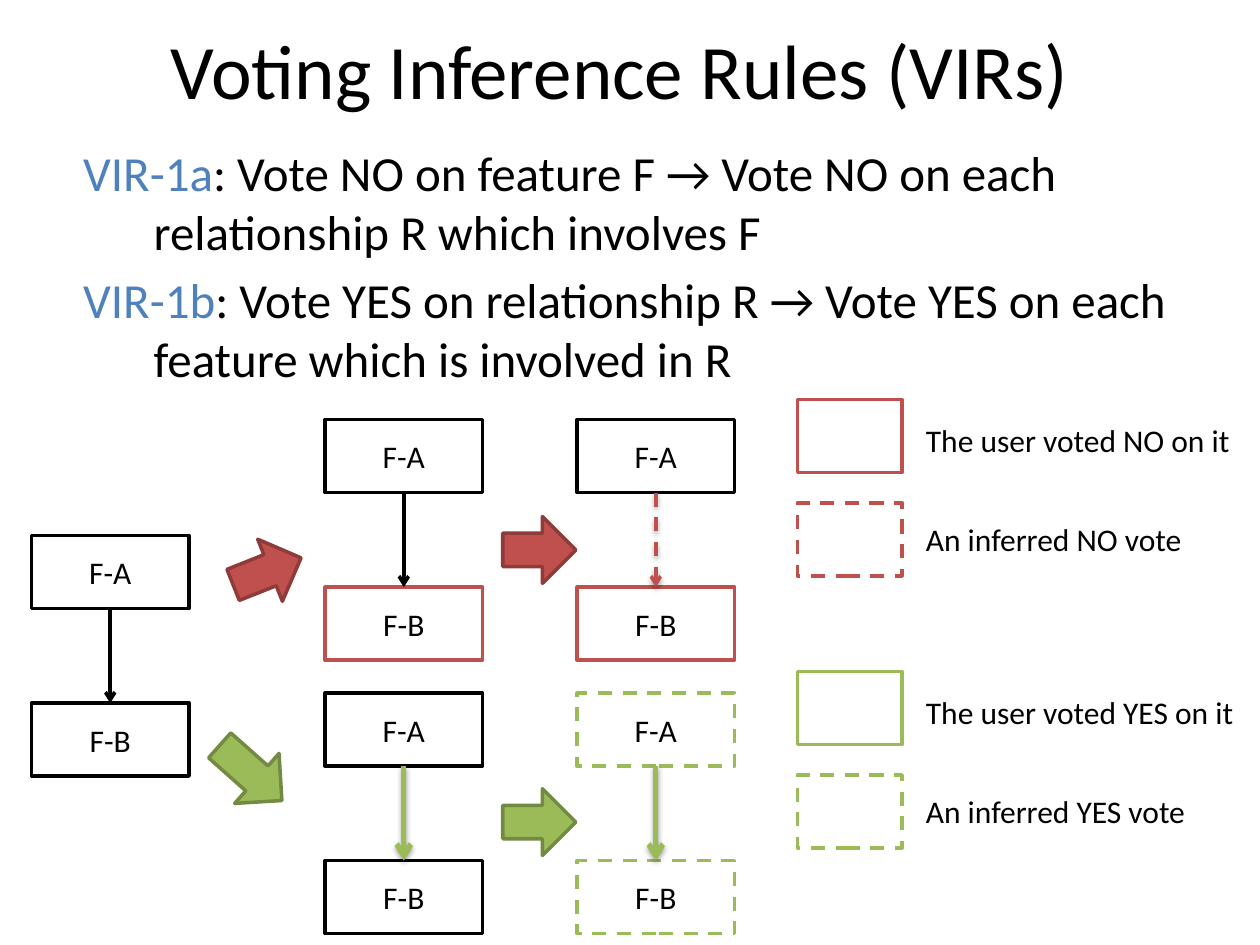
from dataclasses import dataclass

from lxml.etree import SubElement
from pptx import Presentation
from pptx.dml.color import RGBColor
from pptx.enum.dml import MSO_LINE
from pptx.enum.shapes import MSO_CONNECTOR, MSO_SHAPE
from pptx.enum.text import MSO_ANCHOR, MSO_AUTO_SIZE, PP_ALIGN
from pptx.oxml.ns import qn
from pptx.util import Inches, Pt


@dataclass(frozen=True)
class Theme:
    font: str = "Calibri"
    title: int = 44
    body: int = 28
    label: int = 18
    black: str = "000000"
    white: str = "FFFFFF"
    blue: str = "4F81BD"
    no: str = "C0504D"
    no_edge: str = "8E3B39"
    yes: str = "9BBB59"
    yes_edge: str = "738A42"


THEME = Theme()
BOX_W, BOX_H, BOX_STEP = 1.25, 0.58, 1.33
LEGEND_X, SWATCH_W = 6.33, 0.83


def rgb(value):
    return RGBColor.from_string(value)


def add_run(p, text, size, color=THEME.black):
    r = p.add_run()
    r.text = text
    r.font.name = THEME.font
    r.font.size = Pt(size)
    r.font.color.rgb = rgb(color)


def set_line(sp, color, width=2, dashed=False):
    sp.line.color.rgb = rgb(color)
    sp.line.width = Pt(width)
    if dashed:
        sp.line.dash_style = MSO_LINE.DASH


def place(sp, x, y, w, h):
    sp.left, sp.top, sp.width, sp.height = map(Inches, (x, y, w, h))


def add_title(slide, text):
    sp = slide.shapes.title
    place(sp, 0.42, -0.08, 9, 1.25)
    sp.text_frame.vertical_anchor = MSO_ANCHOR.MIDDLE
    p = sp.text_frame.paragraphs[0]
    p.alignment = PP_ALIGN.CENTER
    add_run(p, text, THEME.title)


def add_rules(slide, rules):
    """Fill the body placeholder with unbulleted, hanging rules."""
    sp = slide.placeholders[1]
    place(sp, 0.5, 1.08, 9, 5.62)
    tf = sp.text_frame
    for i, (name, rule) in enumerate(rules):
        p = tf.add_paragraph() if i else tf.paragraphs[0]
        pPr = p._p.get_or_add_pPr()
        pPr.set("marL", str(Inches(0.62)))
        pPr.set("indent", str(Inches(-0.56)))
        SubElement(pPr, qn("a:buNone"))
        if i == 0:
            p.space_before = Pt(0)
        add_run(p, name, THEME.body, THEME.blue)
        add_run(p, f": {rule}", THEME.body)


def add_shape(slide, kind, x, y, w, h, fill, edge, dashed=False):
    sp = slide.shapes.add_shape(kind, *map(Inches, (x, y, w, h)))
    sp.shadow.inherit = False
    sp.fill.solid()
    sp.fill.fore_color.rgb = rgb(fill)
    set_line(sp, edge, dashed=dashed)
    return sp


def add_box(slide, text, x, y, color, dashed=False):
    sp = add_shape(slide, MSO_SHAPE.RECTANGLE, x, y, BOX_W, BOX_H,
                   THEME.white, color, dashed)
    sp.text_frame.vertical_anchor = MSO_ANCHOR.MIDDLE
    p = sp.text_frame.paragraphs[0]
    p.alignment = PP_ALIGN.CENTER
    add_run(p, text, THEME.label)
    return sp


def add_relationship(slide, top, bottom, color, width=2, dashed=False):
    """Join two boxes; only voted (coloured) relationships cast a shadow."""
    cx = slide.shapes.add_connector(MSO_CONNECTOR.STRAIGHT, 0, 0, 0, 0)
    cx.begin_connect(top, 2)
    cx.end_connect(bottom, 0)
    set_line(cx, color, width, dashed)
    SubElement(cx.line._get_or_add_ln(), qn("a:tailEnd"), type="arrow")
    effects = SubElement(cx._element.spPr, qn("a:effectLst"))
    if color != THEME.black:
        shadow = SubElement(effects, qn("a:outerShdw"), blurRad=str(Pt(3.1)),
                            dist=str(Pt(1.7)), dir="5400000", rotWithShape="0")
        shade = SubElement(shadow, qn("a:srgbClr"), val=THEME.black)
        SubElement(shade, qn("a:alpha"), val="36000")


def add_pair(slide, x, y, top=(THEME.black,), bottom=(THEME.black,),
             link=(THEME.black,)):
    """Feature F-A above F-B; each style is (color, ...) for its element."""
    box_a = add_box(slide, "F-A", x, y, *top)
    box_b = add_box(slide, "F-B", x, y + BOX_STEP, *bottom)
    add_relationship(slide, box_a, box_b, *link)


def add_block_arrow(slide, x, y, fill, edge, w=0.58, rotation=0):
    sp = add_shape(slide, MSO_SHAPE.RIGHT_ARROW, x, y, w, 0.53, fill, edge)
    sp.rotation = rotation


def add_legend(slide, y, vote, color):
    entries = [(f"The user voted {vote} on it", 0, 0.12, 2.65, False),
               (f"An inferred {vote} vote", 0.82, 0.09, 3, True)]
    for text, dy, text_dy, w, inferred in entries:
        add_shape(slide, MSO_SHAPE.RECTANGLE, LEGEND_X, y + dy, SWATCH_W,
                  BOX_H, THEME.white, color, inferred)
        sp = slide.shapes.add_textbox(
            *map(Inches, (7.25, y + dy + text_dy, w, 0.4)))
        tf = sp.text_frame
        tf.word_wrap = inferred
        tf.auto_size = MSO_AUTO_SIZE.SHAPE_TO_FIT_TEXT
        add_run(tf.paragraphs[0], text, THEME.label)


def main():
    prs = Presentation()
    prs.slide_width, prs.slide_height = Inches(10), Inches(7.5)
    slide = prs.slides.add_slide(prs.slide_layouts[1])
    t = THEME

    add_title(slide, "Voting Inference Rules (VIRs)")
    add_rules(slide, [
        ("VIR-1a", "Vote NO on feature F → Vote NO on each "
                   "relationship R which involves F"),
        ("VIR-1b", "Vote YES on relationship R → Vote YES on each "
                   "feature which is involved in R"),
    ])

    start_x, voted_x, inferred_x = 0.25, 2.58, 4.58
    no_y, yes_y = 3.33, 5.5
    add_pair(slide, start_x, 4.25)
    add_pair(slide, voted_x, no_y, bottom=(t.no,))
    add_pair(slide, inferred_x, no_y, bottom=(t.no,), link=(t.no, 2, True))
    add_pair(slide, voted_x, yes_y, link=(t.yes, 3))
    add_pair(slide, inferred_x, yes_y, top=(t.yes, True),
             bottom=(t.yes, True), link=(t.yes, 3))

    add_block_arrow(slide, 1.83, 4.27, t.no, t.no_edge, rotation=338.3)
    add_block_arrow(slide, 3.99, 4.1, t.no, t.no_edge)
    add_block_arrow(slide, 1.66, 5.87, t.yes, t.yes_edge, 0.66, 41.6)
    add_block_arrow(slide, 3.99, 6.26, t.yes, t.yes_edge)

    add_legend(slide, 3.17, "NO", t.no)
    add_legend(slide, 5.33, "YES", t.yes)
    prs.save("out.pptx")


if __name__ == "__main__":
    main()
